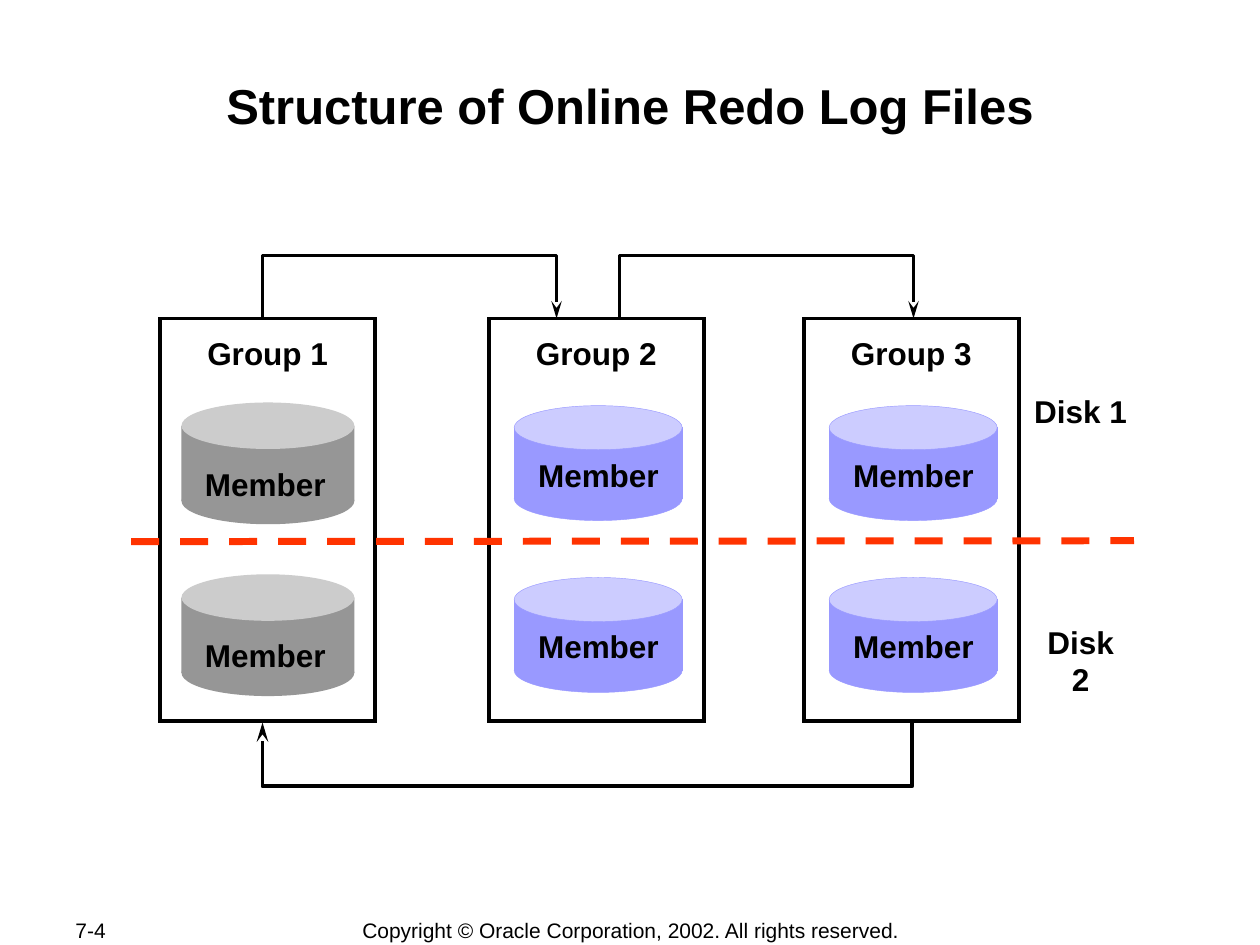
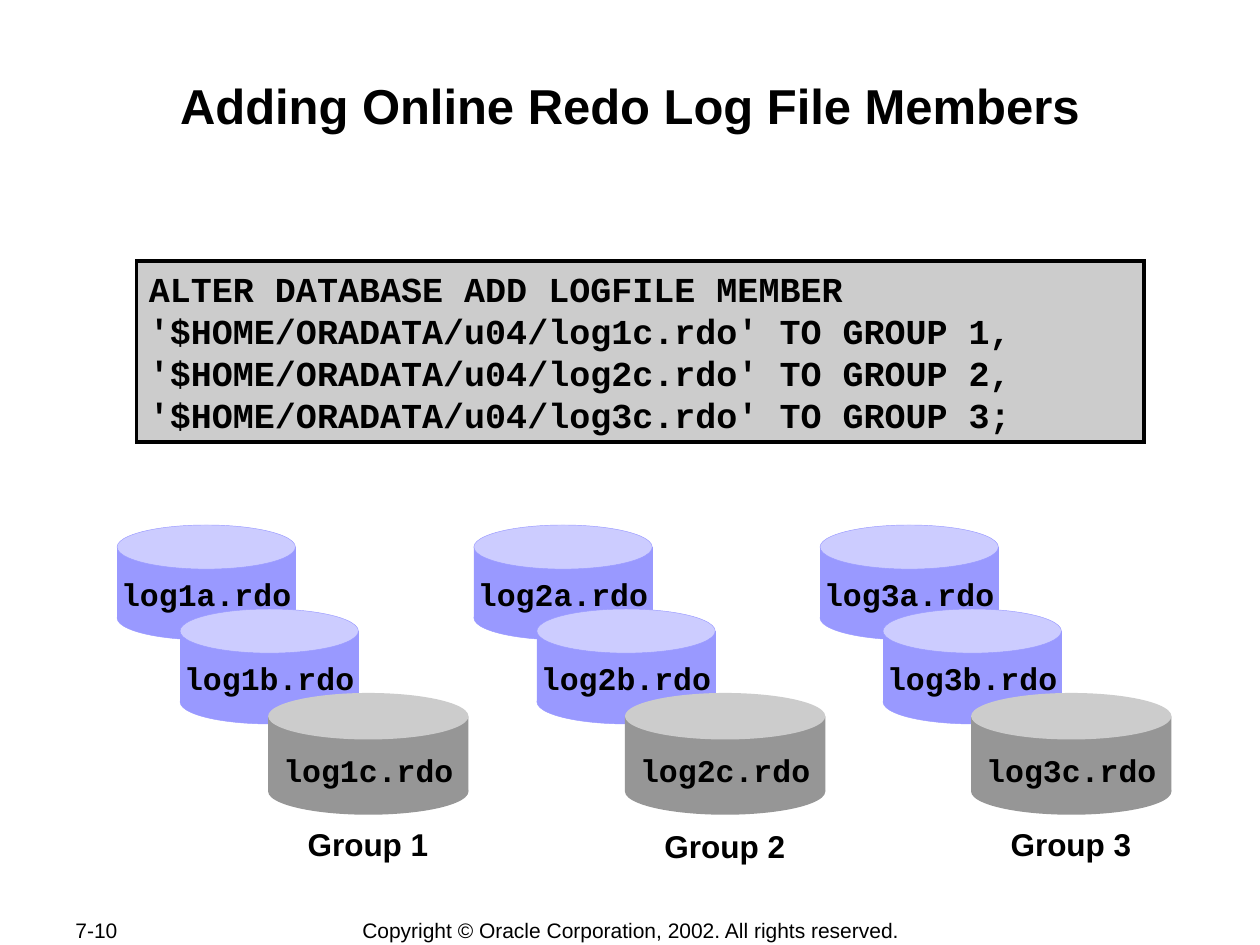
from dataclasses import dataclass, replace
from typing import NamedTuple, Optional

from lxml.etree import SubElement
from pptx import Presentation
from pptx.dml.color import RGBColor
from pptx.enum.dml import MSO_LINE
from pptx.enum.shapes import MSO_CONNECTOR, MSO_SHAPE as Form
from pptx.enum.text import MSO_ANCHOR as Anchor, MSO_AUTO_SIZE as Fit, PP_ALIGN as Align
from pptx.oxml.ns import qn
from pptx.util import Pt

BLACK = RGBColor(0x00, 0x00, 0x00)
GREY = RGBColor(0x96, 0x96, 0x96)
SILVER = RGBColor(0xCC, 0xCC, 0xCC)
BLUE = RGBColor(0x99, 0x99, 0xFF)
PALE = RGBColor(0xCC, 0xCC, 0xFF)
RED = RGBColor(0xFF, 0x33, 0x00)
SANS, MONO = "Arial", "Courier New"
RIGHTS = "Copyright © Oracle Corporation, 2002. All rights reserved."


class Font(NamedTuple):
    size: float
    face: str = SANS
    bold: bool = True


class Box(NamedTuple):
    left: float
    top: float
    width: float
    height: float

    def emu(self) -> list:
        return [Pt(n) for n in self]


LABEL = Font(18)
FILE = Font(18, MONO)
CODE = Font(20, MONO)
TITLE = Font(28)
FOOT = Font(12, bold=False)


@dataclass(frozen=True)
class Tint:
    """Look of a can: colours, lid and body heights, drop from top to label."""
    body: RGBColor
    lid: RGBColor
    edge: Optional[RGBColor]
    oval: float
    tall: float
    drop: float


OLD = Tint(BLUE, PALE, BLUE, 25.2, 40.5, 25)
NEW = Tint(GREY, SILVER, None, 26.6, 43, 29.8)
LOW = replace(NEW, drop=32)


@dataclass(frozen=True)
class Can:
    text: str
    left: float
    top: float
    width: float
    tint: Tint
    font: Font = FILE
    nudge: float = 0


class Frame(NamedTuple):
    name: str
    left: float
    can_left: float
    can_top: float
    can_width: float
    tint: Tint
    nudge: float


class Stack(NamedTuple):
    name: str
    left: float
    foot: float


class Route(NamedTuple):
    start: float
    stop: float
    base: float
    turn: float
    weight: float


def write(frame, lines: list, font: Font, align=Align.CENTER) -> None:
    for i, line in enumerate(lines):
        para = frame.paragraphs[0] if i == 0 else frame.add_paragraph()
        para.alignment = align
        para.space_before = Pt(0)
        run = para.add_run()
        run.text = line
        run.font.name, run.font.size, run.font.bold = font.face, Pt(font.size), font.bold
        run.font.color.rgb = BLACK


def label(shapes, box: Box, text: str, font: Font = LABEL, wrap: bool = True,
          align=Align.CENTER, anchor=Anchor.TOP) -> None:
    frame = shapes.add_textbox(*box.emu()).text_frame
    frame.word_wrap = wrap
    frame.vertical_anchor = anchor
    write(frame, [text], font, align)


def paint(shape, fill=None, edge=None, weight: float = 2.25) -> None:
    shape.shadow.inherit = False
    if fill is None:
        shape.fill.background()
    else:
        shape.fill.solid()
        shape.fill.fore_color.rgb = fill
    if edge is None:
        shape.line.fill.background()
    else:
        shape.line.color.rgb = edge
        shape.line.width = Pt(weight)


def detail(shape, tag: str, **values: str) -> None:
    """Add one element to the line of a shape."""
    SubElement(shape.element.spPr.find(qn("a:ln")), qn(tag), **values)


def block(shapes, form, box: Box, fill=None, edge=None, weight: float = 2.25):
    shape = shapes.add_shape(form, *box.emu())
    paint(shape, fill, edge, weight)
    if edge is not None:
        detail(shape, "a:miter", lim="800000")
    return shape


def draw_can(slide, can: Can) -> None:
    parts = slide.shapes.add_group_shape().shapes
    tint, left, wide = can.tint, can.left, can.width
    for form, down, high, fill in (
        (Form.RECTANGLE, tint.oval / 2, tint.tall, tint.body),
        (Form.OVAL, 0, tint.oval, tint.lid),
        (Form.OVAL, tint.tall, tint.oval, tint.body),
    ):
        block(parts, form, Box(left, can.top + down, wide, high), fill, tint.edge, 0.25)
    label(parts, Box(left + can.nudge - 10, can.top + tint.drop, wide + 20, 28),
          can.text, can.font, wrap=False)


def draw_route(slide, route: Route) -> None:
    """Bent arrow that leaves and returns at the base height."""
    pen = slide.shapes.build_freeform(Pt(route.start), Pt(route.base))
    pen.add_line_segments([(Pt(x), Pt(y)) for x, y in (
        (route.start, route.turn), (route.stop, route.turn), (route.stop, route.base),
    )], close=False)
    shape = pen.convert_to_shape()
    paint(shape, None, BLACK, route.weight)
    detail(shape, "a:tailEnd", type="stealth", w="med", len="lg")


def draw_split(slide) -> None:
    line = slide.shapes.add_connector(
        MSO_CONNECTOR.STRAIGHT, Pt(75), Pt(309.5), Pt(648), Pt(309))
    line.line.color.rgb = RED
    line.line.width = Pt(4)
    line.line.dash_style = MSO_LINE.DASH
    SubElement(line.element.spPr, qn("a:effectLst"))


def new_slide(deck, title: str, number: str):
    slide = deck.slides.add_slide(deck.slide_layouts[5])
    head = slide.shapes.title
    head.left, head.top, head.width, head.height = Box(72, 42.2, 576, 69).emu()
    frame = head.text_frame
    frame.word_wrap = True
    frame.auto_size = Fit.NONE
    frame.vertical_anchor = Anchor.TOP
    frame.margin_left = frame.margin_right = Pt(0.7)
    frame.margin_top = frame.margin_bottom = Pt(0.7)
    write(frame, [title], TITLE)
    label(slide.shapes, Box(36, 524, 76, 15), number, FOOT,
          align=Align.LEFT, anchor=Anchor.MIDDLE)
    label(slide.shapes, Box(199, 524, 323, 15), RIGHTS, FOOT,
          wrap=False, anchor=Anchor.MIDDLE)
    return slide


def structure(deck) -> None:
    slide = new_slide(deck, "Structure of Online Redo Log Files", "7-4")
    top, wide, high, pitch = 182, 123.1, 229.8, 98.2
    for item in (
        Frame("Group 1", 91.4, 103.7, 230, 98.8, LOW, -1.5),
        Frame("Group 2", 279.2, 293.8, 231.8, 96, OLD, 0.2),
        Frame("Group 3", 459.2, 473.8, 231.8, 96, OLD, 0.2),
    ):
        block(slide.shapes, Form.RECTANGLE, Box(item.left, top, wide, high), edge=BLACK)
        label(slide.shapes, Box(item.left, 187.2, wide, 29), item.name)
        for row in range(2):
            draw_can(slide, Can("Member", item.can_left, item.can_top + row * pitch,
                                item.can_width, item.tint, LABEL, item.nudge))
    draw_split(slide)
    label(slide.shapes, Box(580, 220.5, 75, 29), "Disk 1")
    label(slide.shapes, Box(587.5, 352.2, 60, 50), "Disk 2")
    for route in (
        Route(521.3, 150, 412.9, 449.3, 2.25),
        Route(150, 318, 182, 146, 2),
        Route(354, 522, 182, 146, 2),
    ):
        draw_route(slide, route)


def adding(deck) -> None:
    slide = new_slide(deck, "Adding Online Redo Log File Members", "7-10")
    panel = block(slide.shapes, Form.RECTANGLE, Box(78, 149.2, 576, 103.7), SILVER, BLACK)
    frame = panel.text_frame
    frame.word_wrap = True
    frame.vertical_anchor = Anchor.TOP
    frame.margin_top = Pt(3.8)
    ends = ((1, ","), (2, ","), (3, ";"))
    write(frame, ["ALTER DATABASE ADD LOGFILE MEMBER"] + [
        f"'$HOME/ORADATA/u04/log{n}c.rdo' TO GROUP {n}{end}" for n, end in ends
    ], CODE, Align.LEFT)
    for para in frame.paragraphs:
        para.line_spacing = Pt(24)

    steps = (("a", 0, 101.9, OLD), ("b", 36, 101.9, OLD), ("c", 86.3, 114.5, NEW))
    stacks = (Stack("Group 1", 66.9, 468), Stack("Group 2", 270.8, 469),
              Stack("Group 3", 468.6, 468))
    for n, stack in enumerate(stacks, 1):
        for row, (mark, shift, wide, tint) in enumerate(steps):
            draw_can(slide, Can(f"log{n}{mark}.rdo", stack.left + shift,
                                300 + row * 48, wide, tint))
        label(slide.shapes, Box(stack.left + 86.1, stack.foot, 114.5, 29), stack.name)


def main() -> None:
    deck = Presentation()
    deck.slide_width, deck.slide_height = Pt(720), Pt(540)
    structure(deck)
    adding(deck)
    deck.save("out.pptx")


if __name__ == "__main__":
    main()
